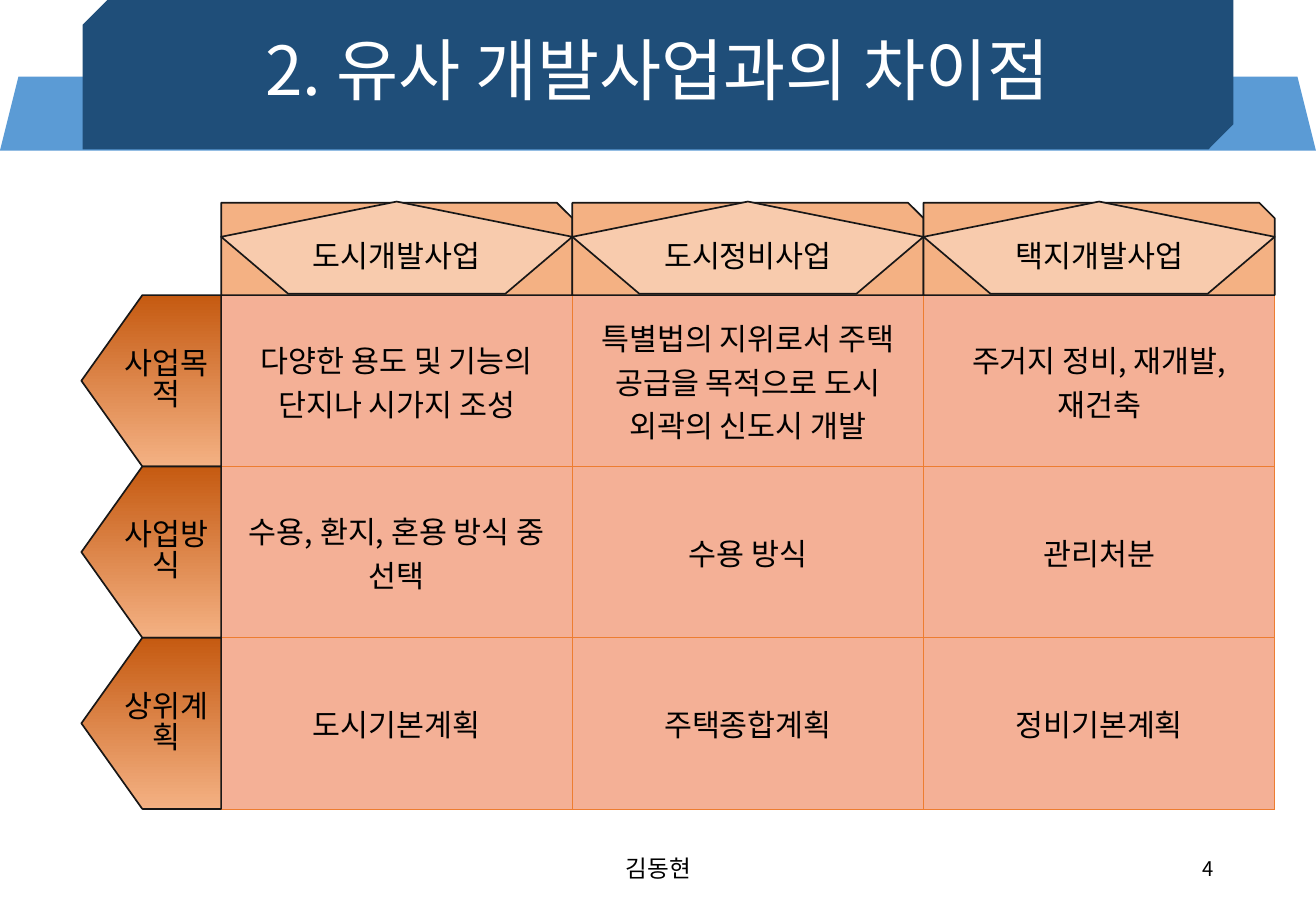
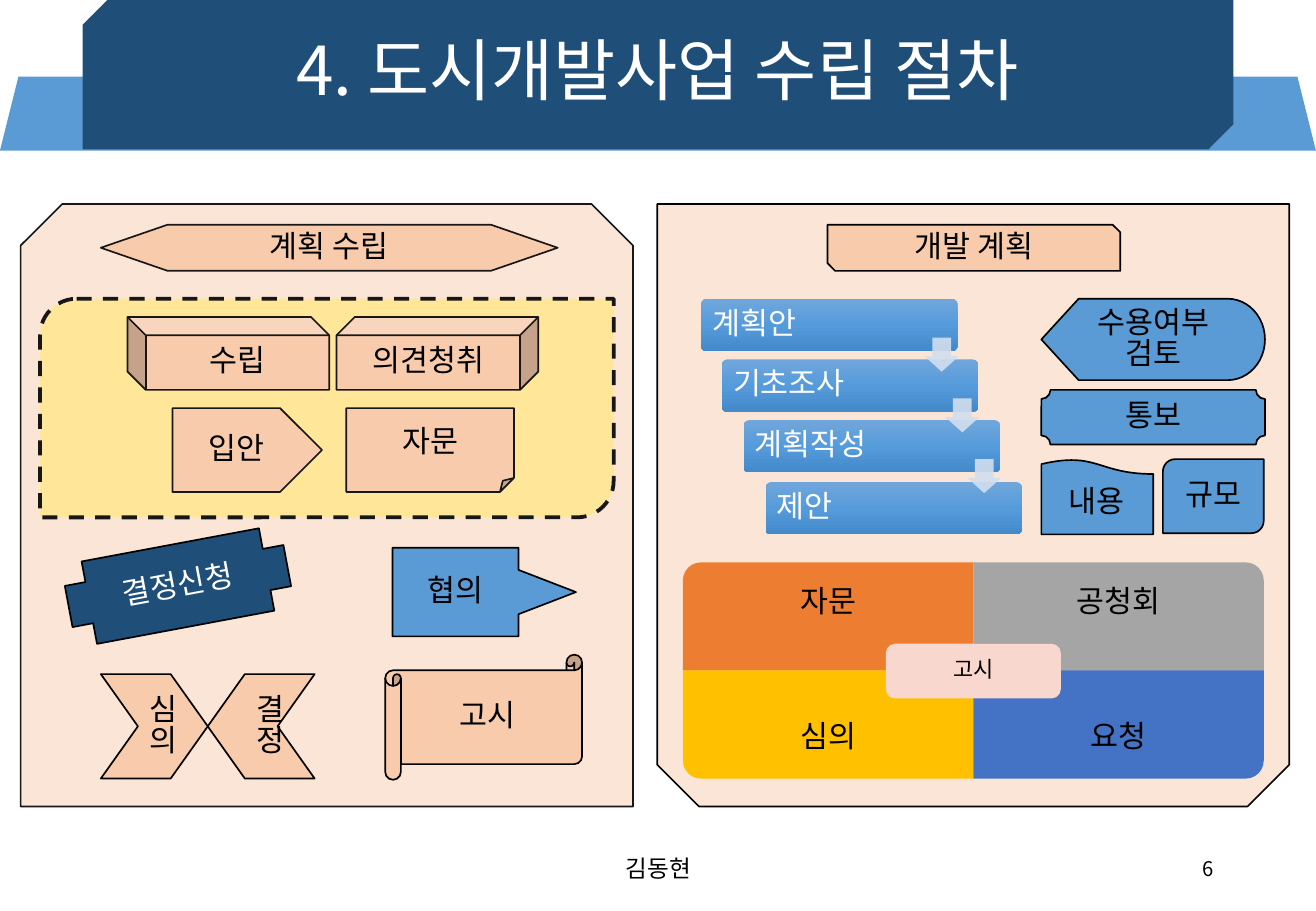
import dataclasses

import pptx
import pptx.dml.color
import pptx.enum.dml
import pptx.enum.shapes
import pptx.enum.text
import pptx.oxml.ns
import pptx.oxml.xmlchemy
import pptx.util
from lxml import etree

MSO = pptx.enum.shapes.MSO_SHAPE
ALIGN = pptx.enum.text.PP_ALIGN
MIDDLE = pptx.enum.text.MSO_ANCHOR.MIDDLE
qn = pptx.oxml.ns.qn


@dataclasses.dataclass(frozen=True)
class Theme:
    """Colours, fonts and type sizes shared by the slides."""
    font: str = "Noto Sans CJK KR"
    badge_font: str = "Calibri"
    title_size: int = 40
    body_size: int = 18
    footer_size: int = 14
    badge_size: int = 13
    number_size: int = 12
    shape_spacing: float = 0.85
    title_spacing: float = 0.9
    navy: str = "1F4E79"
    blue: str = "5B9BD5"
    ink: str = "181717"
    black: str = "000000"
    white: str = "FFFFFF"
    panel: str = "FBE5D6"
    peach: str = "F8CBAD"
    tan: str = "F4B183"
    cell: str = "F4B096"
    orange: str = "ED7D31"
    grey: str = "A5A5A5"
    gold: str = "FFC000"
    royal: str = "4472C4"
    yellow: str = "FFE699"
    badge: str = "F8D7CE"
    arrow: str = "D2DEEF"
    row_gradient: tuple = ("C55A11", "F4B183")
    step_gradient: tuple = ("71A6DB", "559BDB", "448ACA")


T = Theme()
EMU_PER_PX = 9144


def px(n):
    """Turn px into EMU."""
    return pptx.util.Emu(n * EMU_PER_PX)


def rgb(color):
    """Turn a hex string into a colour."""
    return pptx.dml.color.RGBColor.from_string(color)


def write(tf, text, size=T.body_size, color=T.black, align=ALIGN.CENTER,
          spacing=None, font=T.font):
    """Write one paragraph into a text frame."""
    tf.word_wrap = True
    p = tf.paragraphs[0]
    p.alignment = align
    if spacing:
        p.line_spacing = spacing
    r = p.add_run()
    r.text = text
    r.font.size = pptx.util.Pt(size)
    r.font.color.rgb = rgb(color)
    r.font.name = font
    etree.SubElement(r.font._element, qn("a:ea")).set("typeface", font)


def label(s, box, text, **style):
    """Add a text box with its text centred vertically."""
    tf = s.shapes.add_textbox(*map(px, box)).text_frame
    tf.vertical_anchor = MIDDLE
    write(tf, text, **style)


def paint(sp, fill):
    """Fill a shape with one colour or with a downward gradient."""
    if isinstance(fill, str):
        sp.fill.solid()
        sp.fill.fore_color.rgb = rgb(fill)
        return
    sp.fill.gradient()
    sp.fill.gradient_angle = 270
    stops = sp._element.spPr.find(".//" + qn("a:gsLst"))
    for gs in list(stops):
        stops.remove(gs)
    for i, color in enumerate(fill):
        gs = etree.SubElement(stops, qn("a:gs"), pos=str(i * 100000 // (len(fill) - 1)))
        etree.SubElement(gs, qn("a:srgbClr"), val=color)


def shape(s, kind, box, fill, text="", line=T.ink, flip="", adj=(), **style):
    """Add a preset shape with fill, outline, flips and text."""
    sp = s.shapes.add_shape(kind, *map(px, box))
    sp.shadow.inherit = False
    paint(sp, fill)
    if line:
        sp.line.color.rgb = rgb(line)
        sp.line.width = pptx.util.Pt(1)
    else:
        sp.line.fill.background()
    for axis in flip:
        sp._element.spPr.find(qn("a:xfrm")).set("flip" + axis, "1")
    for i, value in enumerate(adj):
        sp.adjustments[i] = value
    if text:
        sp.text_frame.vertical_anchor = MIDDLE
        write(sp.text_frame, text, **{"spacing": T.shape_spacing, **style})
    return sp


def add_slide(prs, title, number):
    """Add a slide with the title bands and the footer."""
    s = prs.slides.add_slide(prs.slide_layouts[6])
    shape(s, MSO.TRAPEZOID, (0, 63, 1083, 61), T.blue, line=None)
    shape(s, MSO.SNIP_2_DIAG_RECTANGLE, (68, 0, 947, 123), T.navy, line=None, flip="H")
    label(s, (74, 7, 934, 108), title, size=T.title_size, color=T.white,
          spacing=T.title_spacing)
    label(s, (359, 695, 366, 40), "김동현", size=T.footer_size)
    label(s, (765, 695, 244, 40), number, size=T.number_size, align=ALIGN.RIGHT)
    return s


def border(cell, color, width):
    """Draw the four borders of a table cell."""
    tc_pr = cell._tc.get_or_add_tcPr()
    for side in ("lnL", "lnR", "lnT", "lnB"):
        ln = etree.SubElement(tc_pr, qn("a:" + side), w=str(pptx.util.Pt(width)))
        fill = etree.SubElement(ln, qn("a:solidFill"))
        etree.SubElement(fill, qn("a:srgbClr"), val=color)


def comparison_table(s, left, top, col, row, headers, rows):
    """Build the comparison table with its column and row markers."""
    width, height = col * len(headers), row * len(rows)
    table = s.shapes.add_table(len(rows), len(headers),
                               *map(px, (left, top, width, height))).table
    table.first_row = table.horz_banding = False
    for c in table.columns:
        c.width = px(col)
    for i, (name, texts) in enumerate(rows):
        table.rows[i].height = px(row)
        for j, text in enumerate(texts):
            cell = table.cell(i, j)
            border(cell, T.orange, 0.5)
            paint(cell, T.cell)
            cell.vertical_anchor = MIDDLE
            write(cell.text_frame, text)
        shape(s, MSO.PENTAGON, (67, top + i * row, left - 67, row), T.row_gradient, name,
              flip="H", adj=[0.436])
    for j, name in enumerate(headers):
        x = left + j * col
        shape(s, MSO.SNIP_1_RECTANGLE, (x, top - 76, col, 76), T.tan)
        shape(s, MSO.REGULAR_PENTAGON, (x, top - 77, col, 76), T.peach, name)


def planning_panel(s):
    """Draw the left panel with the planning stages."""
    shape(s, MSO.SNIP_2_SAME_RECTANGLE, (17, 168, 504, 496), T.panel, adj=[0.069, 0])
    shape(s, MSO.HEXAGON, (83, 185, 376, 38), T.peach, "계획 수립", adj=[1.446])
    frame = shape(s, MSO.ROUND_2_DIAG_RECTANGLE, (33, 246, 472, 180), T.yellow)
    frame.line.width = pptx.util.Pt(2.25)
    frame.line.dash_style = pptx.enum.dml.MSO_LINE.DASH
    shape(s, MSO.CUBE, (277, 261, 166, 60), T.peach, "의견청취")
    shape(s, MSO.CUBE, (105, 261, 166, 60), T.peach, "수립", flip="H")
    shape(s, MSO.PENTAGON, (142, 336, 123, 69), T.peach, "입안")
    shape(s, MSO.FOLDED_CORNER, (285, 336, 138, 69), T.peach, "자문")
    request = shape(s, MSO.CROSS, (55, 448, 183, 69), T.navy, "결정신청",
                    line=T.black, color=T.white)
    request.rotation = 349.4
    shape(s, MSO.RIGHT_ARROW_CALLOUT, (323, 451, 151, 73), T.blue, "협의", line=T.black,
          adj=[0.5, 0.25, 0.648, 0.739])
    for x, text, flip in ((83, "심의", ""), (171, "결정", "H")):
        shape(s, MSO.CHEVRON, (x, 555, 88, 86), T.peach, text, line=T.black,
              flip=flip, adj=[0.355])
    shape(s, MSO.HORIZONTAL_SCROLL, (317, 539, 162, 103), T.peach, "고시", line=T.black)


def step_list(s, left, top, names):
    """Draw descending steps joined by translucent arrows."""
    corners = [(left + i * 53 // 3, top + i * 151 // 3) for i in range(len(names))]
    for (x, y), name in zip(corners, names):
        sp = shape(s, MSO.ROUNDED_RECTANGLE, (x, y, 211, 43), T.step_gradient, name,
                   line=None, adj=[0.1], color=T.white, align=ALIGN.LEFT)
        sp.text_frame.margin_left = px(8)
    for x, y in corners[:-1]:
        sp = shape(s, MSO.DOWN_ARROW, (x + 184, y + 32, 28, 28), T.arrow, line=None,
                   adj=[0.55, 0.45])
        color = sp._element.spPr.find(".//" + qn("a:srgbClr"))
        etree.SubElement(color, qn("a:alpha"), val="90000")


def quadrants(s, left, top, width, height, parts, center):
    """Draw a two by two matrix with a badge in the middle."""
    for i, (text, fill, flip) in enumerate(parts):
        row, col = divmod(i, 2)
        x, y = left + col * width, top + row * height
        shape(s, MSO.ROUND_1_RECTANGLE, (x, y, width, height), fill, line=None, flip=flip)
        label(s, (x, y + row * 22, width, height - 22), text, spacing=T.shape_spacing)
    shape(s, MSO.ROUNDED_RECTANGLE, (left + width - 72, top + height - 22, 144, 45),
          T.badge, center, line=None, size=T.badge_size, font=T.badge_font)


def development_panel(s):
    """Draw the right panel with the development plan."""
    shape(s, MSO.SNIP_2_SAME_RECTANGLE, (541, 168, 520, 496), T.panel, line=T.black,
          flip="V", adj=[0.069, 0])
    shape(s, MSO.SNIP_2_DIAG_RECTANGLE, (681, 185, 241, 38), T.peach, "개발 계획",
          line=T.black)
    step_list(s, 577, 246, ("계획안", "기초조사", "계획작성", "제안"))
    quadrants(s, 562, 463, 239, 89, (
        ("자문", T.orange, "H"), ("공청회", T.grey, ""),
        ("심의", T.gold, "HV"), ("요청", T.royal, "V")), "고시")
    for kind, box, text, flip in (
            (MSO.FLOWCHART_DISPLAY, (857, 246, 184, 67), "수용여부검토", ""),
            (MSO.PLAQUE, (857, 321, 184, 45), "통보", ""),
            (MSO.FLOWCHART_DOCUMENT, (857, 378, 92, 62), "", "V"),
            (MSO.ROUND_2_DIAG_RECTANGLE, (957, 378, 83, 61), "규모", "")):
        shape(s, kind, box, T.blue, text, line=T.black, flip=flip)
    label(s, (863, 394, 78, 40), "내용", spacing=T.shape_spacing)


def main():
    """Build both slides and save the file."""
    prs = pptx.Presentation()
    prs.slide_width, prs.slide_height = px(1083), px(750)

    s = add_slide(prs, "2. 유사 개발사업과의 차이점", "4")
    comparison_table(s, 182, 243, 289, 141, ("도시개발사업", "도시정비사업", "택지개발사업"), (
        ("사업목적", ("다양한 용도 및 기능의 단지나 시가지 조성",
                  "특별법의 지위로서 주택 공급을 목적으로 도시 외곽의 신도시 개발",
                  "주거지 정비, 재개발, 재건축")),
        ("사업방식", ("수용, 환지, 혼용 방식 중 선택", "수용 방식", "관리처분")),
        ("상위계획", ("도시기본계획", "주택종합계획", "정비기본계획"))))

    s = add_slide(prs, "4. 도시개발사업 수립 절차", "6")
    planning_panel(s)
    development_panel(s)

    prs.save("out.pptx")


if __name__ == "__main__":
    main()
